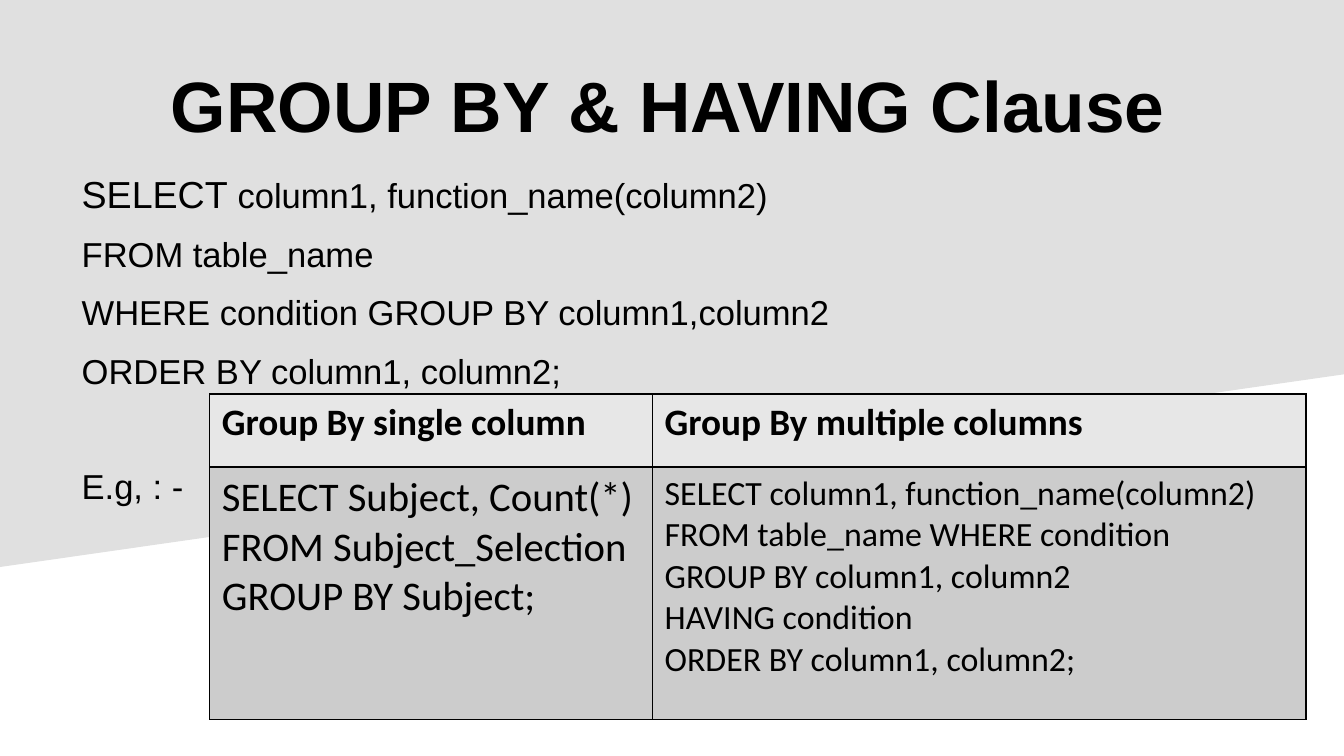
"""Build the GROUP BY and HAVING clause slide."""
import lxml.etree
import pptx
import pptx.dml.color
import pptx.enum.text
import pptx.oxml.ns
import pptx.util

Inches, Pt = pptx.util.Inches, pptx.util.Pt
RGBColor = pptx.dml.color.RGBColor
qn = pptx.oxml.ns.qn

BLACK = RGBColor(0x00, 0x00, 0x00)
BACKDROP = RGBColor(0xE0, 0xE0, 0xE0)
HEADER = RGBColor(0xE7, 0xE7, 0xE7)
CELL = RGBColor(0xCC, 0xCC, 0xCC)


def add_run(p, text, size, name, bold=False):
    r = p.add_run()
    r.text = text
    r.font.color.rgb = BLACK
    for key, value in {"size": Pt(size), "name": name, "bold": bold}.items():
        setattr(r.font, key, value)


def add_borders(cell):
    tcPr = cell._tc.get_or_add_tcPr()
    for i, side in enumerate(("lnL", "lnR", "lnT", "lnB")):
        ln = lxml.etree.Element(qn("a:" + side), w=str(Pt(1)))
        fill = lxml.etree.SubElement(ln, qn("a:solidFill"))
        lxml.etree.SubElement(fill, qn("a:srgbClr"), val=str(BLACK))
        tcPr.insert(i, ln)


prs = pptx.Presentation()
prs.slide_width, prs.slide_height = Inches(11.02), Inches(6.2)
s = prs.slides.add_slide(prs.slide_layouts[5])
title = s.shapes.title

outline = s.shapes.build_freeform(0, Inches(4.65))
outline.add_line_segments([(0, 0), (Inches(11.02), 0), (Inches(11.02), Inches(3.07))])
backdrop = outline.convert_to_shape()
backdrop.shadow.inherit = False
backdrop.fill.solid()
backdrop.fill.fore_color.rgb = BACKDROP
backdrop.line.fill.background()
title._element.addprevious(backdrop._element)

body = s.shapes.add_textbox(Inches(0.67), Inches(1.4), Inches(9.63), Inches(2.49))
places = {"left": 0.56, "top": 0.33, "width": 9.84, "height": 1.04}
for key, value in places.items():
    setattr(title, key, Inches(value))
frame = {"margin_left": 0, "margin_right": 0, "margin_top": 0, "margin_bottom": 0,
         "word_wrap": True, "auto_size": pptx.enum.text.MSO_AUTO_SIZE.NONE}
for sp in (title, body):
    for key, value in frame.items():
        setattr(sp.text_frame, key, value)

title.text_frame.vertical_anchor = pptx.enum.text.MSO_ANCHOR.MIDDLE
p = title.text_frame.paragraphs[0]
p.alignment = pptx.enum.text.PP_ALIGN.CENTER
add_run(p, "GROUP BY & HAVING Clause", 42.1, "Arial", True)

syntax = [
    [("SELECT", 22.2), (" column1, function_name(column2)", 20.4)],
    [("FROM table_name", 20.4)],
    [("WHERE condition GROUP BY column1,column2", 20.4)],
    [("ORDER BY column1, column2;", 20.4)],
    [("E.g, : -", 20.4)],
]
tf = body.text_frame
for i, runs in enumerate(syntax):
    p = tf.add_paragraph() if i else tf.paragraphs[0]
    p.space_after = Pt(10)
    for text, size in runs:
        add_run(p, text, size, "Arial")
p.space_before = Pt(33.4)

table = s.shapes.add_table(2, 2, Inches(1.72), Inches(3.23), Inches(8.99), Inches(2.67)).table
for column, width in zip(table.columns, (3.63, 5.36)):
    column.width = Inches(width)
for row, height in zip(table.rows, (0.6, 2.07)):
    row.height = Inches(height)

examples = [
    (0, 0, 22, ["Group By single column"]),
    (0, 1, 22, ["Group By multiple columns"]),
    (1, 0, 24, ["SELECT Subject, Count(*) FROM Subject_Selection GROUP BY Subject;"]),
    (1, 1, 20, ["SELECT column1, function_name(column2)",
                "FROM table_name WHERE condition",
                "GROUP BY column1, column2",
                "HAVING condition",
                "ORDER BY column1, column2;"]),
]
for row, column, size, lines in examples:
    cell = table.cell(row, column)
    cell.fill.solid()
    cell.fill.fore_color.rgb = CELL if row else HEADER
    add_borders(cell)
    for i, line in enumerate(lines):
        p = cell.text_frame.add_paragraph() if i else cell.text_frame.paragraphs[0]
        add_run(p, line, size, "Calibri", row == 0)

prs.save("out.pptx")
